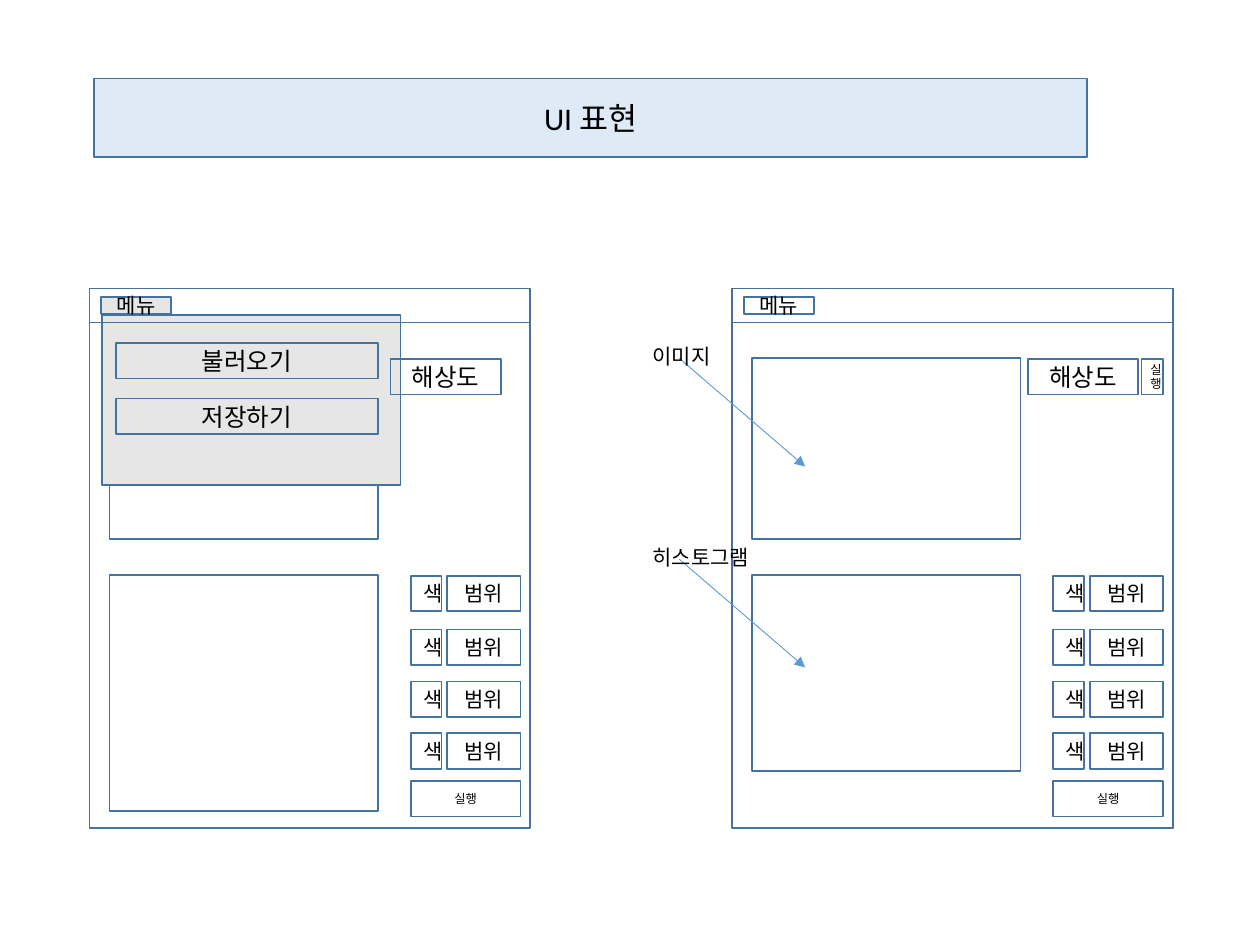
from lxml import etree
from pptx import Presentation
from pptx.dml.color import RGBColor
from pptx.enum.shapes import MSO_CONNECTOR, MSO_SHAPE
from pptx.enum.text import MSO_ANCHOR, MSO_AUTO_SIZE, PP_ALIGN
from pptx.oxml.ns import qn
from pptx.util import Pt

RECT = MSO_SHAPE.RECTANGLE
LINE = MSO_CONNECTOR.STRAIGHT
MIDDLE = MSO_ANCHOR.MIDDLE
CENTER = PP_ALIGN.CENTER
FIT = MSO_AUTO_SIZE.SHAPE_TO_FIT_TEXT

EDGE, ARROW, INK = "43739E", "5B9BD5", "000000"
PALE, GRAY = "DEEBF7", "E7E6E6"
LEFT, RIGHT = 51.1, 418.3
ROWS = (329, 359.8, 389.5, 419)
BOX_H = 20.4


def color(text):
    """Turn a hex string into a colour."""
    return RGBColor.from_string(text)


def apply(target, values):
    """Set each named value on the target."""
    for name, value in values.items():
        setattr(target, name, value)


def write(shape, text, size):
    """Put one styled run into a shape and return its paragraph."""
    para = shape.text_frame.paragraphs[0]
    run = para.add_run()
    run.text = text
    apply(run.font, {"name": "Calibri", "size": Pt(size)})
    run.font.color.rgb = color(INK)
    return para


def box(slide, x, y, width, height, text="", size=12, fill=None):
    """Draw an outlined box, with a centred caption if given."""
    shape = slide.shapes.add_shape(RECT, Pt(x), Pt(y), Pt(width), Pt(height))
    shape.shadow.inherit = False
    apply(shape.line, {"width": Pt(1)})
    shape.line.color.rgb = color(EDGE)
    if fill:
        shape.fill.solid()
        shape.fill.fore_color.rgb = color(fill)
    else:
        shape.fill.background()
    if text:
        apply(shape.text_frame, {"vertical_anchor": MIDDLE, "word_wrap": True})
        apply(write(shape, text, size), {"alignment": CENTER})


def label(slide, x, y, width, text):
    """Add a free caption that does not wrap."""
    shape = slide.shapes.add_textbox(Pt(x), Pt(y), Pt(width), Pt(21.6))
    apply(shape.text_frame, {"word_wrap": False, "auto_size": FIT})
    write(shape, text, 12)


def arrow(slide, x, y, dx, dy):
    """Draw a thin arrow from a point by an offset."""
    line = slide.shapes.add_connector(LINE, Pt(x), Pt(y), Pt(x + dx), Pt(y + dy))
    apply(line.line, {"width": Pt(0.5)})
    line.line.color.rgb = color(ARROW)
    edge = line.line._get_or_add_ln()
    etree.SubElement(edge, qn("a:tailEnd"), type="triangle")
    etree.SubElement(line._element.spPr, qn("a:effectLst"))


def window(slide, x):
    """Draw the window frame and its image area."""
    box(slide, x + 11.5, 204.5, 153.4, 103.7)
    box(slide, x, 164.9, 252, 308.2)


def header(slide, x, fill=None):
    """Draw the menu bar and its button."""
    box(slide, x, 164.9, 252, 19.4)
    box(slide, x + 6.7, 169.6, 40, 10.1, "메뉴", fill=fill)


def controls(slide, x):
    """Draw the colour and range rows with the run button."""
    for y in ROWS:
        box(slide, x + 183.6, y, 17.6, BOX_H, "색")
        box(slide, x + 204.5, y, 41.8, BOX_H, "범위")
    box(slide, x + 183.6, 446.2, 62.7, BOX_H, "실행", 7)


def popup(slide, x):
    """Draw the open menu panel."""
    box(slide, x + 7.2, 179.8, 170.6, 97.2, fill=GRAY)
    for y, text in ((196, "불러오기"), (227.8, "저장하기")):
        box(slide, x + 15.1, y, 149.8, BOX_H, text, 14)


def main():
    """Build the slide and save it."""
    deck = Presentation()
    apply(deck, {"slide_width": Pt(720), "slide_height": Pt(540)})
    slide = deck.slides.add_slide(deck.slide_layouts[6])

    box(slide, 53.8, 44.8, 567.4, 45.1, "UI 표현", 18, PALE)

    window(slide, RIGHT)
    header(slide, RIGHT)
    box(slide, RIGHT + 11.5, 328.4, 153.4, 112.2)
    for y, width, text in ((193, 51.1, "이미지"), (307.8, 74.9, "히스토그램")):
        arrow(slide, 388.1, y + 11.7, 72, 61.9)
        label(slide, 365.8, y, width, text)
    box(slide, RIGHT + 169.2, 205, 63, BOX_H, "해상도", 14)
    box(slide, RIGHT + 234, 205, 12.2, BOX_H, "실행", 7)
    controls(slide, RIGHT)

    window(slide, LEFT)
    popup(slide, LEFT)
    header(slide, LEFT, GRAY)
    box(slide, LEFT + 172.1, 205, 63, BOX_H, "해상도", 14)
    box(slide, LEFT + 11.5, 328.4, 153.4, 135.2)
    controls(slide, LEFT)

    deck.save("out.pptx")


main()
